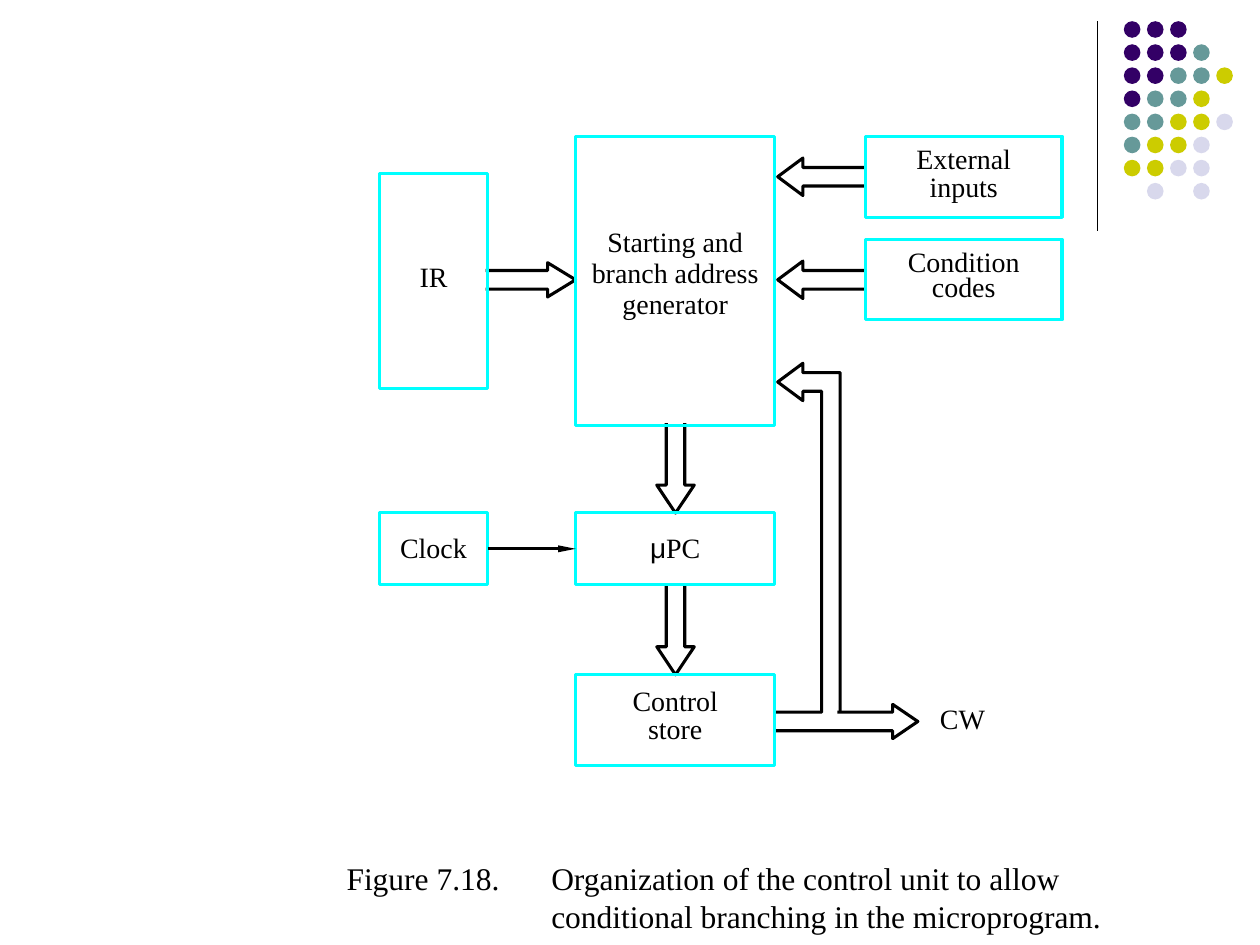
import math
from pptx import Presentation
from pptx.dml.color import RGBColor
from pptx.enum import shapes, text
from pptx.oxml.ns import qn
from pptx.util import Pt
from lxml import etree

SERIF, SANS = "Times New Roman", "Arial"
BLACK, CYAN = "000000", "00FFFF"
LINE, SHAFT = 1.75, 5.3

CAPTION = ("Figure 7.18.\tOrganization of the control unit to allow "
           "conditional branching in the microprogram.")

DOT_COLOURS = {"P": "330066", "T": "669999", "Y": "CCCC00", "L": "D8D8EC"}
DOT_ROWS = ["PPP", "PPPT", "PPTTY", "PTTY", "TTYYL", "TYYL", "YYLL", " L L"]
DOT_LEFT, DOT_TOP, DOT_PITCH, DOT_SIZE = 642.2, 12.1, 13.2, 9.5

COLUMNS = {"left": (216.7, 62), "middle": (328.9, 113.8), "right": (494.6, 112.3)}
BOXES = [
    ("ir", "left", 99.2, 122.6, 4, 18, [[("IR", SERIF)]]),
    ("clock", "left", 293, 41.2, 0, 18, [[("Clock", SERIF)]]),
    ("generator", "middle", 77.8, 165.6, 8, 17.7,
     [[("Starting and", SERIF)], [("branch address", SERIF)], [("generator", SERIF)]]),
    ("pc", "middle", 293, 41.2, 0, 18, [[("μ", SANS), ("PC", SERIF)]]),
    ("store", "middle", 385.6, 51.8, 4, 16.3, [[("Control", SERIF)], [("store", SERIF)]]),
    ("external", "right", 77.8, 46.4, 2, 16.2, [[("External", SERIF)], [("inputs", SERIF)]]),
    ("condition", "right", 136.8, 46.1, 2, 14.4, [[("Condition", SERIF)], [("codes", SERIF)]]),
]

ARROWS = [
    ((494.6, 101), (444.4, 101), 14.4, 10.7),
    ((494.6, 159.9), (444.4, 159.9), 14.4, 10.7),
    ((277.5, 159.9), (328.9, 159.9), 16, 9.8),
    ((386, 241.8), (386, 293.2), 16, 10.7),
    ((386, 334.2), (386, 385.6), 16, 10.7),
]
CW_TAIL, CW_TIP, CW_SPLIT = (443, 412.3), (524.5, 412.3), 478.5
FEEDBACK_X, FEEDBACK_TIP = 474.8, (444.4, 218.3)

prs = Presentation()
prs.slide_width, prs.slide_height = Pt(720), Pt(540)
s = prs.slides.add_slide(prs.slide_layouts[5])


def colour(value):
    return RGBColor.from_string(value)


def outline(sp, value, width=LINE):
    sp.line.color.rgb = colour(value)
    sp.line.width = Pt(width)


def write(tf, lines, size, spacing, align, anchor, bottom=0, wrap=True):
    tf.margin_left = tf.margin_right = tf.margin_top = 0
    tf.margin_bottom = Pt(bottom)
    tf.word_wrap = wrap
    tf.auto_size = text.MSO_AUTO_SIZE.NONE
    tf.vertical_anchor = anchor
    for i, runs in enumerate(lines):
        p = tf.add_paragraph() if i else tf.paragraphs[0]
        p.alignment = align
        p.line_spacing = Pt(spacing)
        for words, font in runs:
            r = p.add_run()
            r.text = words
            r.font.name = font
            r.font.size = Pt(size)
            r.font.color.rgb = colour(BLACK)


def add_line(x1, y1, x2, y2, width):
    c = s.shapes.add_connector(shapes.MSO_CONNECTOR.STRAIGHT, Pt(x1), Pt(y1), Pt(x2), Pt(y2))
    outline(c, BLACK, width)
    etree.SubElement(c._element.spPr, qn("a:effectLst"))
    return c


def arrow_head(tail, tip, length, half):
    span = math.dist(tail, tip)
    dx, dy = (tip[0] - tail[0]) / span, (tip[1] - tail[1]) / span
    neck = tip[0] - dx * length, tip[1] - dy * length

    def beside(point, offset):
        return point[0] - dy * offset, point[1] + dx * offset

    head = [beside(neck, SHAFT), beside(neck, half), tip,
            beside(neck, -half), beside(neck, -SHAFT)]
    return beside(tail, SHAFT), head, beside(tail, -SHAFT)


def add_outline(points):
    emu = [(Pt(x), Pt(y)) for x, y in points]
    builder = s.shapes.build_freeform(*emu[0])
    builder.add_line_segments(emu[1:], close=False)
    sp = builder.convert_to_shape()
    sp.shadow.inherit = False
    sp.fill.background()
    outline(sp, BLACK)


add_line(627.1, 12.2, 627.1, 131.8, 0.75)
for row, codes in enumerate(DOT_ROWS):
    for col, code in enumerate(codes):
        if code in DOT_COLOURS:
            sp = s.shapes.add_shape(
                shapes.MSO_SHAPE.OVAL, Pt(DOT_LEFT + col * DOT_PITCH),
                Pt(DOT_TOP + row * DOT_PITCH), Pt(DOT_SIZE), Pt(DOT_SIZE))
            sp.shadow.inherit = False
            sp.fill.solid()
            sp.fill.fore_color.rgb = colour(DOT_COLOURS[code])
            sp.line.fill.background()

title = s.shapes.title
title.left, title.top, title.width, title.height = Pt(198), Pt(491), Pt(470), Pt(44)
write(title.text_frame, [[(CAPTION, SERIF)]], 18, 21.7,
      text.PP_ALIGN.LEFT, text.MSO_ANCHOR.TOP)
pPr = title.text_frame.paragraphs[0]._p.get_or_add_pPr()
pPr.set("marL", str(Pt(117)))
pPr.set("indent", str(-Pt(117)))

for arrow in ARROWS:
    start, head, end = arrow_head(*arrow)
    add_outline([start, *head, end])

start, head, end = arrow_head(CW_TAIL, CW_TIP, 14.4, 9.8)
add_outline([start, *head, (CW_SPLIT, end[1])])
branch_y = end[1]

start, head, end = arrow_head((FEEDBACK_X, FEEDBACK_TIP[1]), FEEDBACK_TIP, 14.4, 10.7)
outer, inner = FEEDBACK_X + SHAFT, FEEDBACK_X - SHAFT
add_outline([(outer, branch_y), (outer, start[1]), *head,
             (inner, end[1]), (inner, branch_y), (CW_TAIL[0], branch_y)])

boxes = {}
for name, column, top, height, bottom, spacing, lines in BOXES:
    left, width = COLUMNS[column]
    sp = s.shapes.add_shape(shapes.MSO_SHAPE.RECTANGLE, Pt(left), Pt(top), Pt(width), Pt(height))
    sp.shadow.inherit = False
    sp.fill.background()
    outline(sp, CYAN)
    write(sp.text_frame, lines, 16, spacing, text.PP_ALIGN.CENTER,
          text.MSO_ANCHOR.MIDDLE, bottom)
    boxes[name] = sp

clock_line = add_line(278.7, 313.6, 328.9, 313.6, LINE)
clock_line.begin_connect(boxes["clock"], 3)
clock_line.end_connect(boxes["pc"], 1)
etree.SubElement(clock_line.line._get_or_add_ln(), qn("a:tailEnd"),
                 type="triangle", w="sm", len="lg")

cw = s.shapes.add_textbox(Pt(537.1), Pt(401.8), Pt(27), Pt(19.4))
write(cw.text_frame, [[("CW", SERIF)]], 16, 18.4,
      text.PP_ALIGN.LEFT, text.MSO_ANCHOR.TOP, wrap=False)

prs.save("out.pptx")
